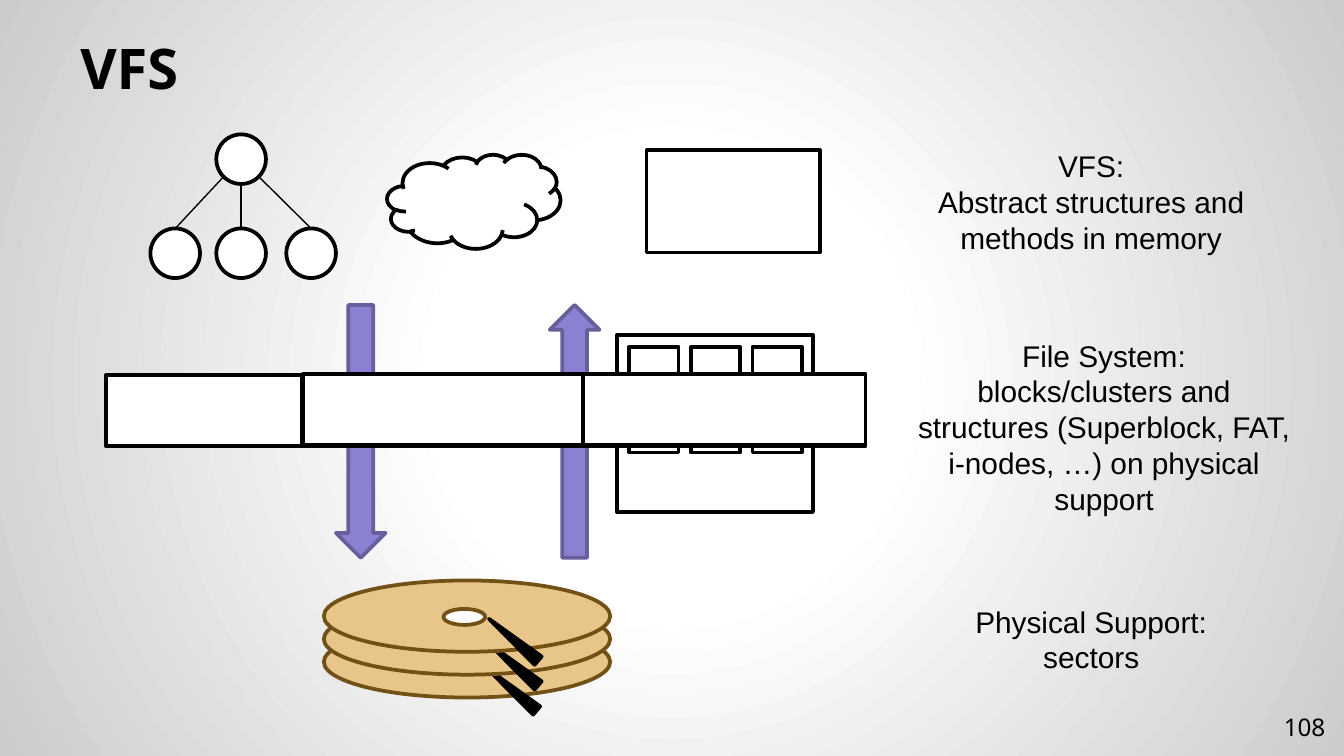
"""Build a slide on the VFS, file system and physical support layers."""
from dataclasses import dataclass

from lxml import etree
from pptx import Presentation
from pptx.dml.color import RGBColor
from pptx.enum.shapes import MSO_CONNECTOR, MSO_SHAPE
from pptx.enum.text import MSO_ANCHOR, MSO_AUTO_SIZE, PP_ALIGN
from pptx.oxml import parse_xml
from pptx.oxml.ns import qn
from pptx.util import Pt

RECT, OVAL, CLOUD = MSO_SHAPE.RECTANGLE, MSO_SHAPE.OVAL, MSO_SHAPE.CLOUD
ARROW, TRIANGLE = MSO_SHAPE.DOWN_ARROW, MSO_SHAPE.ISOSCELES_TRIANGLE
STRAIGHT = MSO_CONNECTOR.STRAIGHT
TOP, MIDDLE, BOTTOM = MSO_ANCHOR.TOP, MSO_ANCHOR.MIDDLE, MSO_ANCHOR.BOTTOM
LEFT, CENTER, RIGHT = PP_ALIGN.LEFT, PP_ALIGN.CENTER, PP_ALIGN.RIGHT
NO_FIT, GROW = MSO_AUTO_SIZE.NONE, MSO_AUTO_SIZE.SHAPE_TO_FIT_TEXT
GRADIENT = (
    '<a:gradFill xmlns:a="http://schemas.openxmlformats.org/drawingml/2006/main"'
    ' rotWithShape="1"><a:gsLst>{}</a:gsLst><a:path path="circle">'
    '<a:fillToRect l="50000" t="50000" r="50000" b="50000"/></a:path></a:gradFill>'
)
STOP = '<a:gs pos="{}"><a:srgbClr val="{}"/></a:gs>'


@dataclass(frozen=True)
class Theme:
    """Colours, fonts and type sizes of the slide."""
    ink: str = "000000"
    paper: str = "FFFFFF"
    edge: str = "CCCCCC"
    arrow: str = "8B81D2"
    arrow_line: str = "675F9B"
    disk: str = "E8C588"
    disk_line: str = "725116"
    head_font: str = "Noto Sans"
    label_font: str = "Arial"
    title: int = 30
    label: int = 16
    number: int = 13
    outline: float = 2
    thin: float = 0.75


class Deck:
    """Holds the theme and the current slide."""

    def __init__(self, prs, theme):
        """Add a blank slide."""
        self.t = theme
        self.s = prs.slides.add_slide(prs.slide_layouts[6])

    def background(self):
        """Paint a radial gradient behind the slide."""
        t = self.t
        self.s.background.fill.solid()
        stops = ((0, t.paper), (30000, t.paper), (100000, t.edge))
        bg = self.s.element.find(".//" + qn("p:bgPr"))
        bg.replace(bg[0], parse_xml(GRADIENT.format("".join(STOP.format(*x) for x in stops))))

    def shape(self, kind, x, y, w, h, fill=None, line=None, rotation=0):
        """Draw an outlined preset shape."""
        sp = self.s.shapes.add_shape(kind, Pt(x), Pt(y), Pt(w), Pt(h))
        sp.shadow.inherit = False
        sp.rotation = rotation
        sp.fill.solid()
        sp.fill.fore_color.rgb = RGBColor.from_string(fill or self.t.paper)
        sp.line.color.rgb = RGBColor.from_string(line or self.t.ink)
        sp.line.width = Pt(self.t.outline)

    def line(self, x1, y1, x2, y2):
        """Draw a thin straight line."""
        c = self.s.shapes.add_connector(STRAIGHT, Pt(x1), Pt(y1), Pt(x2), Pt(y2))
        c.line.color.rgb = RGBColor.from_string(self.t.ink)
        c.line.width = Pt(self.t.thin)
        etree.SubElement(c._element.spPr, qn("a:effectLst"))

    def text(self, x, y, w, h, lines, size, font, align, anchor, inset=7.2, fit=NO_FIT, bold=False):
        """Write one paragraph for each line."""
        tf = self.s.shapes.add_textbox(Pt(x), Pt(y), Pt(w), Pt(h)).text_frame
        tf.word_wrap = True
        tf.auto_size = fit
        tf.vertical_anchor = anchor
        tf.margin_top = tf.margin_bottom = Pt(inset)
        for i, content in enumerate(lines):
            p = tf.add_paragraph() if i else tf.paragraphs[0]
            p.alignment = align
            r = p.add_run()
            r.text = content
            r.font.name, r.font.size, r.font.bold = font, Pt(size), bold
            r.font.color.rgb = RGBColor.from_string(self.t.ink)

    def label(self, x, y, w, h, *lines):
        """Write a centred layer description."""
        self.text(x, y, w, h, lines, self.t.label, self.t.label_font, CENTER, TOP, 3.6, GROW)


def draw_arrows(d):
    """Draw the transfers between memory and disk."""
    for x, rotation in ((294.5, 180), (180, 0)):
        d.shape(ARROW, x, 163.4, 26.6, 135.4, d.t.arrow, d.t.arrow_line, rotation)


def draw_disk(d):
    """Draw three platters with their heads and the hub."""
    t = d.t
    for i, (head_x, head_y) in enumerate(((271.4, 352.1), (272.2, 338.7), (272.2, 325.4))):
        d.shape(OVAL, 173.5, 335.5 - 12.25 * i, 153.4, 38.2, t.disk, t.disk_line)
        d.shape(TRIANGLE, head_x, head_y, 5.8, 34.6, t.ink, t.ink, 310.4)
    d.shape(OVAL, 237.6, 326.2, 22.3, 8.6, t.paper, t.disk_line)


def draw_file_system(d):
    """Draw the block grid and the partition bar across it."""
    d.shape(RECT, 330.5, 179.3, 105.1, 95)
    for row in range(2):
        for col in range(3):
            d.shape(RECT, 337 + 33.1 * col, 185.8 + 31.4 * row, 26.6, 25.2)
    d.shape(RECT, 57.6, 200.9, 406.1, 38.2)
    for x, y, w in ((56.9, 200.9, 105.1), (162.5, 200.2, 151.2), (312.5, 200.2, 151.2)):
        d.shape(RECT, x, y, w, 38.2)


def draw_memory(d):
    """Draw the tree, cloud and table kept in memory."""
    size, root_x, root_y, leaf_y = 26.6, 115.9, 72, 122.4
    d.shape(OVAL, root_x, root_y, size, size)
    for x, start_x, start_y in ((80.6, 119.5, 95), (root_x, 129.2, 98.6), (153.4, 139, 95)):
        d.shape(OVAL, x, leaf_y, size, size)
        d.line(start_x, start_y, x + size / 2, leaf_y)
    d.shape(CLOUD, 207.4, 82.8, 92.9, 50.4)
    d.shape(RECT, 346.3, 80.6, 92.9, 54.7)


def main():
    """Compose and save the slide."""
    prs = Presentation()
    prs.slide_width, prs.slide_height = Pt(720), Pt(405)
    t = Theme()
    d = Deck(prs, t)
    d.background()
    draw_arrows(d)
    d.text(36, 16.6, 648, 44.6, ["VFS"], t.title, t.head_font, LEFT, BOTTOM, bold=True)
    d.text(673.9, 373.7, 43.2, 31, ["108"], t.number, t.head_font, RIGHT, MIDDLE)
    draw_disk(d)
    draw_file_system(d)
    d.label(509, 319.7, 151.2, 46.1, "Physical Support:", "sectors")
    d.label(479.5, 177.1, 223.9, 104.4, "File System:",
            "blocks/clusters and structures (Superblock, FAT, i-nodes, …) on physical support")
    draw_memory(d)
    d.label(494.6, 75.6, 180, 65.5, "VFS:", "Abstract structures and methods in memory")
    prs.save("out.pptx")


if __name__ == "__main__":
    main()
